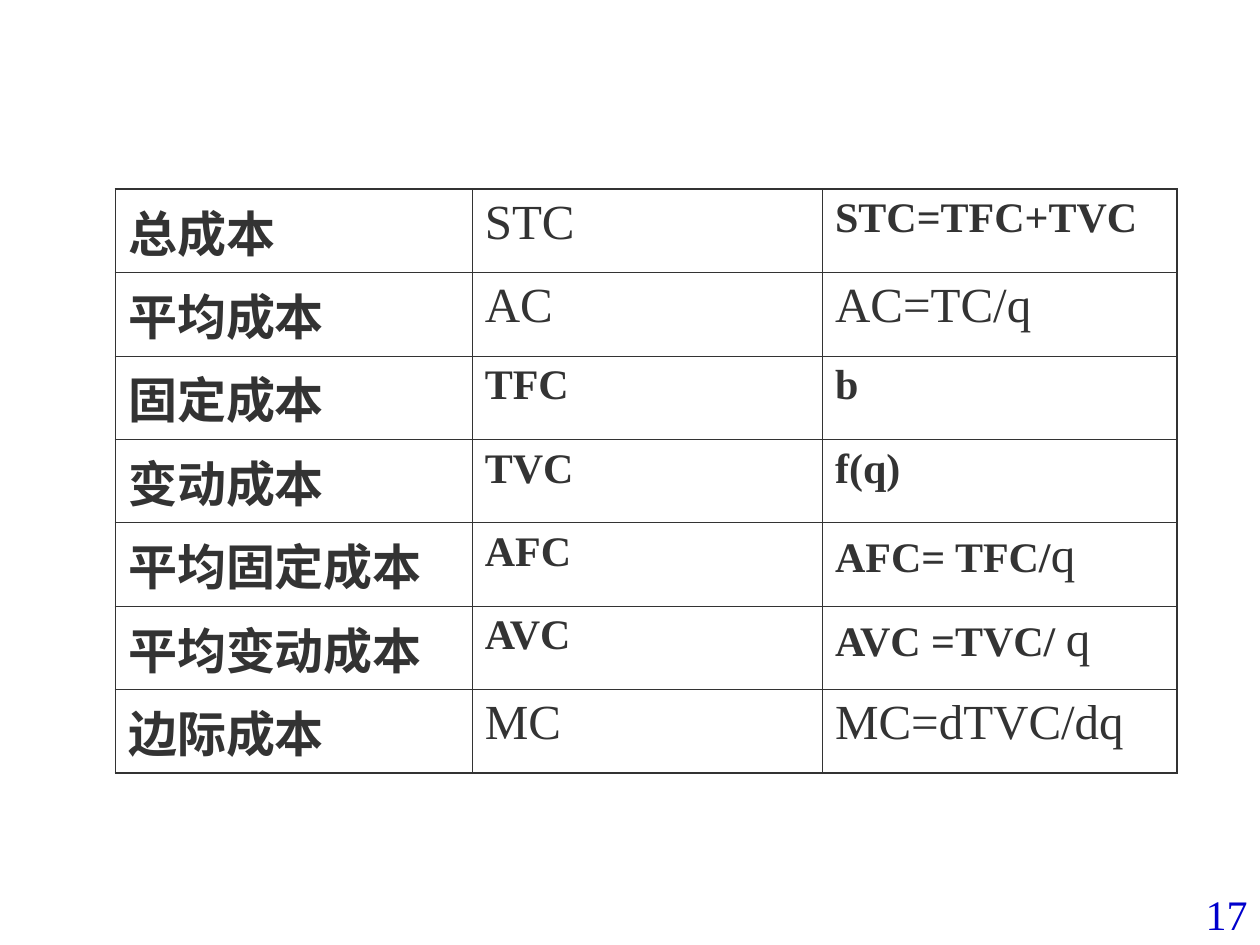
from dataclasses import dataclass

from lxml.etree import SubElement
from pptx import Presentation
from pptx.dml.color import RGBColor
from pptx.enum.text import MSO_ANCHOR as Anchor, PP_ALIGN as Align
from pptx.oxml.ns import qn
from pptx.util import Cm, Pt


@dataclass(frozen=True)
class Theme:
    font: str = "Times New Roman"
    ink: str = "333333"
    number: str = "0000CC"
    large: int = 28
    small: int = 24
    outer_line: float = 1.08
    inner_line: float = 0.45


THEME = Theme()

# Each run style is (size, bold)
NAME = (THEME.large, True)
PLAIN = (THEME.large, False)
STRONG = (THEME.small, True)

# Each cost has a name, a symbol and a formula, all given as runs
COSTS = [
    ([("总成本", NAME)], [("STC", PLAIN)], [("STC=TFC+TVC", STRONG)]),
    ([("平均成本", NAME)], [("AC", PLAIN)], [("AC=TC/q", PLAIN)]),
    ([("固定成本", NAME)], [("TFC", STRONG)], [("b", STRONG)]),
    ([("变动成本", NAME)], [("TVC", STRONG)], [("f(q)", STRONG)]),
    ([("平均固定成本", NAME)], [("AFC", STRONG)], [("AFC= TFC/", STRONG), ("q", PLAIN)]),
    ([("平均变动成本", NAME)], [("AVC", STRONG)], [("AVC =TVC/ ", STRONG), ("q", PLAIN)]),
    ([("边际成本", NAME)], [("MC", PLAIN)], [("MC=dTVC/dq", PLAIN)]),
]
COLUMN_SHARES = (0.336, 0.33, 0.334)


def style_font(font, size, bold, color):
    font.name = THEME.font
    font.size = Pt(size)
    font.bold = bold
    font.color.rgb = RGBColor.from_string(color)


def set_borders(cell, outer_sides):
    """Draw all four sides, with a heavier line on the outer ones."""
    properties = cell._tc.get_or_add_tcPr()
    for index, side in enumerate("LRTB"):
        width = THEME.outer_line if side in outer_sides else THEME.inner_line
        line = properties.makeelement(qn(f"a:ln{side}"), {"w": str(Pt(width))})
        fill = SubElement(line, qn("a:solidFill"))
        SubElement(fill, qn("a:srgbClr"), val=THEME.ink)
        properties.insert(index, line)


def fill_cell(cell, runs):
    cell.fill.background()
    cell.vertical_anchor = Anchor.TOP
    paragraph = cell.text_frame.paragraphs[0]
    if len(runs) == 1:
        text, style = runs[0]
        paragraph.add_run().text = text
        style_font(paragraph.font, *style, THEME.ink)
        return
    for text, style in runs:
        run = paragraph.add_run()
        run.text = text
        style_font(run.font, *style, THEME.ink)


def add_cost_table(slide, left, top, width, height):
    last_row, last_column = len(COSTS) - 1, len(COLUMN_SHARES) - 1
    table = slide.shapes.add_table(
        len(COSTS), len(COLUMN_SHARES), left, top, width, height).table
    table.first_row = table.horz_banding = False
    for column, share in zip(table.columns, COLUMN_SHARES):
        column.width = int(width * share)
    for r, cost in enumerate(COSTS):
        for c, runs in enumerate(cost):
            cell = table.cell(r, c)
            fill_cell(cell, runs)
            edges = {"L": c == 0, "R": c == last_column,
                     "T": r == 0, "B": r == last_row}
            set_borders(cell, [side for side, outer in edges.items() if outer])


def add_page_number(slide, number, left, top, width, height):
    frame = slide.shapes.add_textbox(left, top, width, height).text_frame
    frame.word_wrap = True
    frame.vertical_anchor = Anchor.BOTTOM
    paragraph = frame.paragraphs[0]
    paragraph.add_run().text = str(number)
    paragraph.alignment = Align.RIGHT
    style_font(paragraph.font, THEME.small, False, THEME.number)


def main():
    deck = Presentation()
    deck.slide_width, deck.slide_height = Cm(25.4), Cm(19.05)
    slide = deck.slides.add_slide(deck.slide_layouts[6])
    add_cost_table(slide, Cm(2.33), Cm(3.81), Cm(21.4), Cm(11.76 * 0.972))
    number_width, number_height = Cm(8.3), Cm(1.27)
    add_page_number(slide, 17, deck.slide_width - number_width,
                    deck.slide_height - number_height, number_width, number_height)
    deck.save("out.pptx")


if __name__ == "__main__":
    main()
